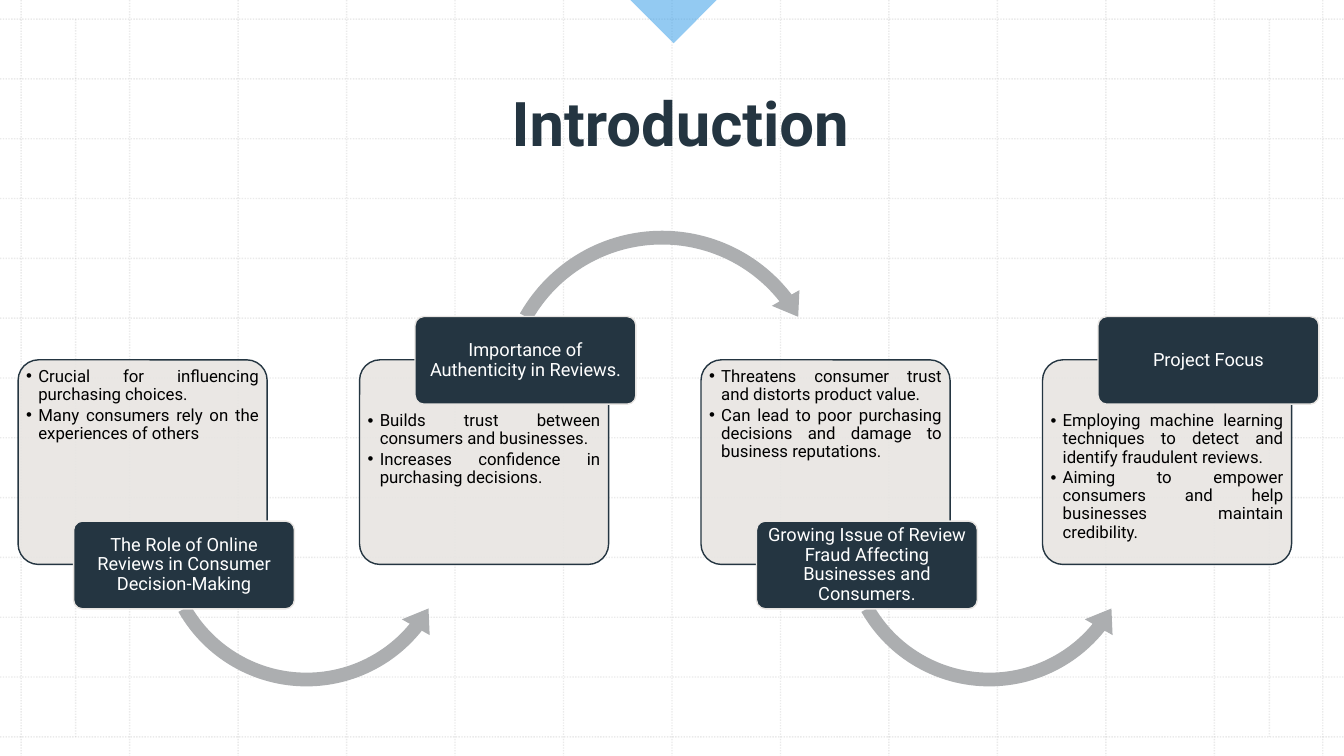
from dataclasses import dataclass

from lxml import etree
from pptx import Presentation
from pptx.dml.color import RGBColor
from pptx.enum.dml import MSO_LINE
from pptx.enum.shapes import MSO_CONNECTOR, MSO_SHAPE
from pptx.enum.text import MSO_ANCHOR, MSO_AUTO_SIZE, PP_ALIGN
from pptx.oxml.ns import qn
from pptx.util import Inches, Pt

DOTS = MSO_LINE.ROUND_DOT
LINE = MSO_CONNECTOR.STRAIGHT
ROUND = MSO_SHAPE.ROUNDED_RECTANGLE
WEDGE = MSO_SHAPE.RIGHT_TRIANGLE
OVER = MSO_SHAPE.CIRCULAR_ARROW
UNDER = MSO_SHAPE.LEFT_CIRCULAR_ARROW
TOP, MIDDLE, BOTTOM = MSO_ANCHOR.TOP, MSO_ANCHOR.MIDDLE, MSO_ANCHOR.BOTTOM
CENTER, JUSTIFY = PP_ALIGN.CENTER, PP_ALIGN.JUSTIFY
FIXED = MSO_AUTO_SIZE.NONE

WIDE, HIGH = 13.33, 7.5
LEFT, RIGHT, UPPER, LOWER = 0.21, 13.12, 0.19, 7.31
CELLS = 12
FIRST, LAST = 0.18, 10.34

STEPS = [
    ("The Role of Online Reviews in Consumer Decision-Making",
     ["Crucial for influencing purchasing choices.",
      "Many consumers rely on the experiences of others"]),
    ("Importance of Authenticity in Reviews.",
     ["Builds trust between consumers and businesses.",
      "Increases confidence in purchasing decisions."]),
    ("Growing Issue of Review Fraud Affecting Businesses and Consumers.",
     ["Threatens consumer trust and distorts product value.",
      "Can lead to poor purchasing decisions and damage to business reputations."]),
    ("Project Focus",
     ["Employing machine learning techniques to detect and identify fraudulent reviews.",
      "Aiming to empower consumers and help businesses maintain credibility."]),
]


@dataclass
class Theme:
    font: str = "Roboto"
    navy: str = "243541"
    sand: str = "E8E5E2"
    gray: str = "ACAEB0"
    grid: str = "BCBCBC"
    blue: str = "2997E7"
    black: str = "000000"
    white: str = "FFFFFF"
    head: int = 44
    label: int = 13
    body: int = 12


class Deck:
    def __init__(self, slide, theme):
        self.slide = slide
        self.theme = theme
        back = slide.background.fill
        back.solid()
        back.fore_color.rgb = RGBColor.from_string(theme.white)

    def fade(self, item, alpha):
        color = item.element.spPr.find(".//" + qn("a:srgbClr"))
        etree.SubElement(color, qn("a:alpha"), val=str(alpha * 1000))

    def rule(self, x1, y1, x2, y2):
        line = self.slide.shapes.add_connector(
            LINE, Inches(x1), Inches(y1), Inches(x2), Inches(y2))
        line.line.color.rgb = RGBColor.from_string(self.theme.grid)
        line.line.width = Pt(1)
        line.line.dash_style = DOTS
        self.fade(line, 30)
        etree.SubElement(line.element.spPr, qn("a:effectLst"))

    def shape(self, kind, box, fill, edge=None, alpha=100, adjust=()):
        item = self.slide.shapes.add_shape(kind, *map(Inches, box))
        item.shadow.inherit = False
        item.fill.solid()
        item.fill.fore_color.rgb = RGBColor.from_string(fill)
        if alpha < 100:
            self.fade(item, alpha)
        if edge:
            item.line.color.rgb = RGBColor.from_string(edge)
            item.line.width = Pt(1)
        else:
            item.line.fill.background()
        for i, value in enumerate(adjust):
            item.adjustments[i] = value
        return item

    def label(self, item, lines, size, color, align, anchor, pad, bold=False):
        frame = item.text_frame
        frame.text = "\n".join(lines)
        frame.word_wrap = True
        frame.auto_size = FIXED
        frame.vertical_anchor = anchor
        frame.margin_left = frame.margin_right = Inches(pad[0])
        frame.margin_top = frame.margin_bottom = Inches(pad[1])
        for para in frame.paragraphs:
            para.alignment = align
            para.space_before = Pt(0)
            for run in para.runs:
                run.font.name = self.theme.font
                run.font.size = Pt(size)
                run.font.bold = bold
                run.font.color.rgb = RGBColor.from_string(color)
        return frame.paragraphs

    def place(self, item, box):
        item.left, item.top, item.width, item.height = map(Inches, box)
        item.element.getparent().append(item.element)

    def title(self, text, box):
        item = self.slide.shapes.title
        self.place(item, box)
        self.label(item, [text], self.theme.head, self.theme.navy,
                   CENTER, BOTTOM, (0.1, 0.05), True)

    def bullets(self, item, lines, box):
        self.place(item, box)
        paras = self.label(item, lines, self.theme.body, self.theme.black,
                           JUSTIFY, TOP, (0.03, 0.03))
        for para in paras:
            para.line_spacing = 0.9
            para.space_after = Pt(1.8)
            props = para._p.get_or_add_pPr()
            props.set("marL", str(Inches(0.12)))
            props.set("indent", str(Inches(-0.12)))
            etree.SubElement(props, qn("a:buFont"), typeface="Arial")
            etree.SubElement(props, qn("a:buChar"), char="•")

    def card(self, box):
        self.shape(ROUND, box, self.theme.sand, self.theme.navy, 90, [0.1])

    def tag(self, text, box):
        item = self.shape(ROUND, box, self.theme.navy, self.theme.sand, adjust=[0.1])
        paras = self.label(item, [text], self.theme.label, self.theme.white,
                           CENTER, MIDDLE, (0.03, 0.02))
        paras[0].line_spacing = 0.9

    def arrow(self, x, raised):
        if raised:
            self.shape(OVER, (x + 1.29, 2.2, 3.42, 3.42), self.theme.gray,
                       adjust=[0.04, 4.983, 193.261, 125.755, 0.046])
        else:
            self.shape(UNDER, (x + 1.31, 3.8, 3.1, 3.1), self.theme.gray,
                       adjust=[0.044, 5.544, 23.299, 90.245, 0.051])


def main():
    show = Presentation()
    show.slide_width, show.slide_height = Inches(WIDE), Inches(HIGH)
    slide = show.slides.add_slide(show.slide_layouts[4])
    deck = Deck(slide, Theme())

    for i in range(CELLS + 1):
        x = LEFT + i * (RIGHT - LEFT) / CELLS
        y = UPPER + i * (LOWER - UPPER) / CELLS
        deck.rule(x, 0, x, HIGH)
        deck.rule(0, y, WIDE, y)
    for x in (0.75, 12.59):
        deck.rule(x, UPPER, x, LOWER)

    gem = deck.shape(WEDGE, (6.37, -0.32, 0.62, 0.62), deck.theme.blue, alpha=50)
    gem.rotation = 315
    deck.title("Introduction", (1.31, 0.24, 10.88, 1.39))

    gap = (LAST - FIRST) / (len(STEPS) - 1)
    for i, (label, points) in enumerate(STEPS):
        x = FIRST + i * gap
        raised = i % 2 == 1
        deck.card((x, 3.57, 2.47, 2.03))
        deck.bullets(slide.placeholders[i + 1], points,
                     (x + 0.05, 4.06 if raised else 3.62, 2.37, 1.51))
        if i < len(STEPS) - 1:
            deck.arrow(x, raised)
        deck.tag(label, (x + 0.55, 3.14 if raised else 5.17, 2.19, 0.87))

    show.save("out.pptx")


if __name__ == "__main__":
    main()
